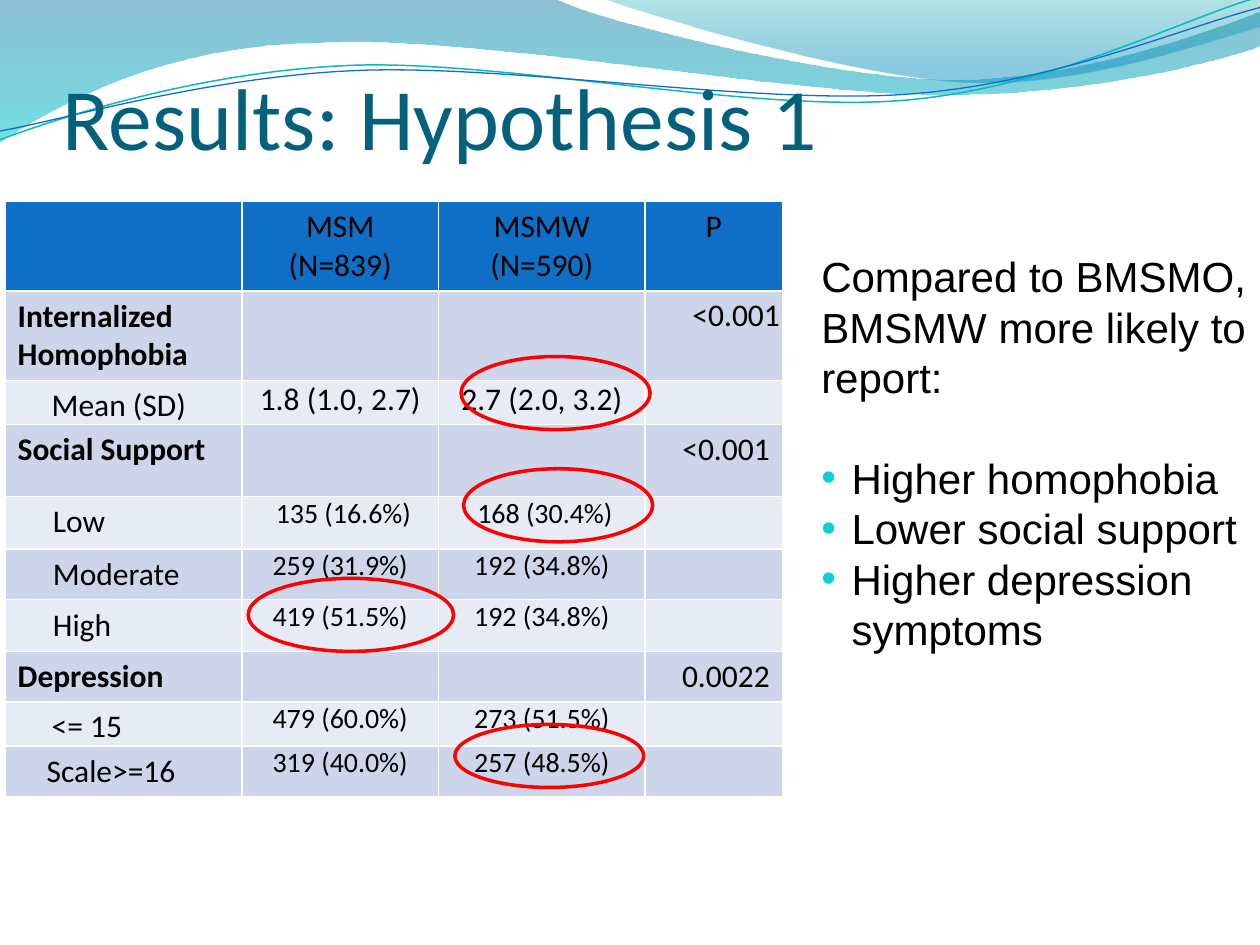
import pptx
import pptx.util
import pptx.dml.color
import pptx.enum.shapes
import pptx.enum.text
import pptx.oxml
import pptx.oxml.ns
from lxml import etree
from pptx.util import Inches

COLORS = {
    "title": "04617B", "text": "000000", "header": "0F6FC6", "dark_band": "CCD5EA",
    "light_band": "E7EBF5", "border": "FFFFFF", "bullet": "0BD0D9", "circle": "FF0000",
    "teal_line": "0AB8BF", "blue_line": "0F6FC6",
}
ALIGN = pptx.enum.text.PP_ALIGN
ANCHOR = pptx.enum.text.MSO_ANCHOR
QN = pptx.oxml.ns.qn

WAVE_BANDS = [
    ([(0, -0.01), (4.4, -0.01), (4.76, 0.17, 6.64, 0.63, 7.58, 0.63),
      (8.53, 0.63, 9.58, 0.26, 10, 0.09), (10.01, 0.36), (9.83, 0.44, 8.7, 0.76, 7.46, 0.75),
      (6.22, 0.75, 3.82, 0.28, 2.57, 0.34), (1.29, 0.35, 0.46, 0.83, -0.01, 1.13)],
     [(0, "0074A1", 45), (1, "00C6CF", 55)]),
    ([(4.79, -0.01), (5.09, 0.11, 6.82, 0.62, 7.69, 0.65),
      (8.56, 0.69, 9.61, 0.32, 10, 0.21), (10, 0)],
     [(0, "00A1A9", 30), (0.8, "008BBF", 45)]),
]
WAVE_LINES = [
    ([(0, 1.11), (0.48, 0.93, 1.58, 0.57, 2.77, 0.52), (3.95, 0.47, 5.93, 0.89, 7.13, 0.8),
      (8.33, 0.71, 9.38, 0.15, 9.98, -0.02)], "teal_line", 0.85),
    ([(0, 1.04), (0.47, 0.96, 1.64, 0.61, 2.83, 0.56), (4.03, 0.51, 5.97, 0.83, 7.17, 0.75),
      (8.36, 0.67, 9.41, 0.21, 10, 0.06)], "blue_line", 0.75),
]

COLUMN_WIDTHS = [1.88, 1.56, 1.64, 1.09]
ROWS = [
    (0.71, ["", "MSM (N=839)", "MSMW (N=590)", "P"]),
    (0.71, ["Internalized Homophobia", "", "", "<0.001"]),
    (0.35, ["Mean (SD)", "1.8 (1.0, 2.7)", "2.7 (2.0, 3.2)", ""]),
    (0.57, ["Social Support", "", "", "<0.001"]),
    (0.42, ["Low", "\u00a0135 (16.6%)", "\u00a0168 (30.4%)", ""]),
    (0.4, ["Moderate", "259 (31.9%)", "192 (34.8%)", ""]),
    (0.41, ["High", "419 (51.5%)", "192 (34.8%)", ""]),
    (0.4, ["Depression", "", "", "0.0022"]),
    (0.35, ["<= 15", "479 (60.0%)", "273 (51.5%)", ""]),
    (0.4, ["Scale>=16", "319 (40.0%)", "257 (48.5%)", ""]),
]
TIGHT_LABELS = ("Mean (SD)", "<= 15")
LABEL_INDENTS = {"Scale>=16": 0.33}

FINDINGS_LEAD = "Compared to BMSMO, BMSMW more likely to report:"
FINDINGS = ["Higher homophobia", "Lower social support", "Higher depression symptoms"]
CIRCLES = [(3.66, 2.83, 1.5, 0.58), (3.61, 5.75, 1.5, 0.5),
           (3.68, 3.72, 1.5, 0.58), (1.97, 4.59, 1.63, 0.58)]


def rgb(value):
    return pptx.dml.color.RGBColor.from_string(value)


def write_text(paragraph, text, font="Calibri", size=18, color="text", bold=False,
               align=ALIGN.LEFT, before=0, after=0, spacing=None):
    paragraph.alignment = align
    paragraph.space_before = pptx.util.Pt(before)
    paragraph.space_after = pptx.util.Pt(after)
    if spacing:
        paragraph.line_spacing = spacing
    run = paragraph.add_run()
    run.text = text
    run.font.name = font
    run.font.size = pptx.util.Pt(size)
    run.font.bold = bold
    run.font.color.rgb = rgb(COLORS[color])


def set_margins(frame, left, top, right, bottom):
    frame.margin_left, frame.margin_top = Inches(left), Inches(top)
    frame.margin_right, frame.margin_bottom = Inches(right), Inches(bottom)


def add_text_box(slide, left, top, width, height, margins, anchor):
    box = slide.shapes.add_textbox(Inches(left), Inches(top), Inches(width), Inches(height))
    frame = box.text_frame
    frame.word_wrap = True
    frame.vertical_anchor = anchor
    set_margins(frame, *margins)
    return frame


def add_wave(slide, segments, closed):
    anchors = [(Inches(segment[-2]), Inches(segment[-1])) for segment in segments]
    builder = slide.shapes.build_freeform(*anchors[0])
    builder.add_line_segments(anchors[1:], close=closed)
    shape = builder.convert_to_shape()
    shape.shadow.inherit = False
    lines = list(shape._element.iter(QN("a:lnTo")))
    for line, segment in zip(lines, segments[1:]):
        if len(segment) == 6:
            curve = etree.Element(QN("a:cubicBezTo"))
            for x, y in zip(segment[::2], segment[1::2]):
                point = etree.SubElement(curve, QN("a:pt"))
                point.set("x", str(Inches(x) - shape.left))
                point.set("y", str(Inches(y) - shape.top))
            line.getparent().replace(line, curve)
    return shape


def set_outline(shape, color, width):
    shape.fill.background()
    shape.line.color.rgb = rgb(COLORS[color])
    shape.line.width = pptx.util.Pt(width)


def add_waves(slide):
    for segments, stops in WAVE_BANDS:
        band = add_wave(slide, segments, True)
        band.fill.gradient()
        band.fill.gradient_angle = 270
        for stop, (position, color, _) in zip(band.fill.gradient_stops, stops):
            stop.position = position
            stop.color.rgb = rgb(color)
        color_elements = list(band._element.spPr.iter(QN("a:srgbClr")))
        for element, (_, _, opacity) in zip(color_elements, stops):
            for child in list(element):
                element.remove(child)
            etree.SubElement(element, QN("a:alpha")).set("val", str(opacity * 1000))
        band.line.fill.background()
    for segments, color, width in WAVE_LINES:
        set_outline(add_wave(slide, segments, False), color, width)


def set_borders(cell):
    properties = cell._tc.get_or_add_tcPr()
    for index, side in enumerate("LRTB"):
        line = etree.Element(QN("a:ln" + side), w=str(pptx.util.Pt(1)))
        fill = etree.SubElement(line, QN("a:solidFill"))
        etree.SubElement(fill, QN("a:srgbClr")).set("val", COLORS["border"])
        properties.insert(index, line)


def cell_format(row, column, text, is_group):
    wide = (0.1, 0.05, 0.1, 0.05)
    if not text:
        return (0, 0, 0, 0), {}
    if row == 0:
        return wide, {"align": ALIGN.CENTER}
    tight = {"before": 1.8, "after": 1.8, "spacing": 1.15}
    if column == 3:
        if row == 1:
            return (0.02, 0, 0.02, 0), {"align": ALIGN.RIGHT, **tight}
        return wide, {"align": ALIGN.RIGHT}
    if column in (1, 2):
        return (0.03, 0, 0.03, 0), {"align": ALIGN.CENTER, "before": 2, "after": 2,
                                    "size": 18 if row == 2 else 16}
    if is_group:
        return wide, {"bold": True}
    if text in TIGHT_LABELS:
        return (0.37, 0, 0.02, 0), tight
    return (LABEL_INDENTS.get(text, 0.38), 0.05, 0.1, 0.05), {}


def add_results_table(slide):
    frame = slide.shapes.add_table(len(ROWS), len(COLUMN_WIDTHS), Inches(0.04), Inches(1.6),
                                   Inches(sum(COLUMN_WIDTHS)), Inches(sum(r[0] for r in ROWS)))
    table = frame.table
    table.first_row = table.horz_banding = False
    for column, width in zip(table.columns, COLUMN_WIDTHS):
        column.width = Inches(width)
    for row, (height, texts) in enumerate(ROWS):
        table.rows[row].height = Inches(height)
        band = "header" if row == 0 else "dark_band" if row % 2 else "light_band"
        for column, text in enumerate(texts):
            cell = table.cell(row, column)
            margins, options = cell_format(row, column, text, not texts[1])
            set_margins(cell, *margins)
            cell.fill.solid()
            cell.fill.fore_color.rgb = rgb(COLORS[band])
            set_borders(cell)
            if text:
                write_text(cell.text_frame.paragraphs[0], text, **options)


def add_findings(slide):
    frame = add_text_box(slide, 6.42, 1.94, 3.83, 4.14, (0.1, 0.05, 0.1, 0.05), ANCHOR.TOP)
    pitch = pptx.util.Pt(28.8)
    write_text(frame.paragraphs[0], FINDINGS_LEAD, font="Arial", size=24, spacing=pitch)
    for index, finding in enumerate(FINDINGS):
        paragraph = frame.add_paragraph()
        write_text(paragraph, finding, font="Arial", size=24, spacing=pitch,
                   before=0 if index else 28.8)
        properties = paragraph._p.get_or_add_pPr()
        properties.set("marL", str(Inches(0.24)))
        properties.set("indent", str(-Inches(0.24)))
        bullet_color = etree.SubElement(properties, QN("a:buClr"))
        etree.SubElement(bullet_color, QN("a:srgbClr")).set("val", COLORS["bullet"])
        etree.SubElement(properties, QN("a:buFont")).set("typeface", "Arial")
        etree.SubElement(properties, QN("a:buChar")).set("char", "•")


presentation = pptx.Presentation()
presentation.slide_width, presentation.slide_height = Inches(10), Inches(7.5)
slide = presentation.slides.add_slide(presentation.slide_layouts[6])
add_waves(slide)
title = add_text_box(slide, 0.5, 0.08, 9, 1.25, (0, 0.05, 0, 0), ANCHOR.BOTTOM)
write_text(title.paragraphs[0], "Results: Hypothesis 1", size=50, color="title")
add_results_table(slide)
add_findings(slide)
for bounds in CIRCLES:
    circle = slide.shapes.add_shape(pptx.enum.shapes.MSO_SHAPE.OVAL, *map(Inches, bounds))
    circle.shadow.inherit = False
    set_outline(circle, "circle", 2)
presentation.save("out.pptx")
